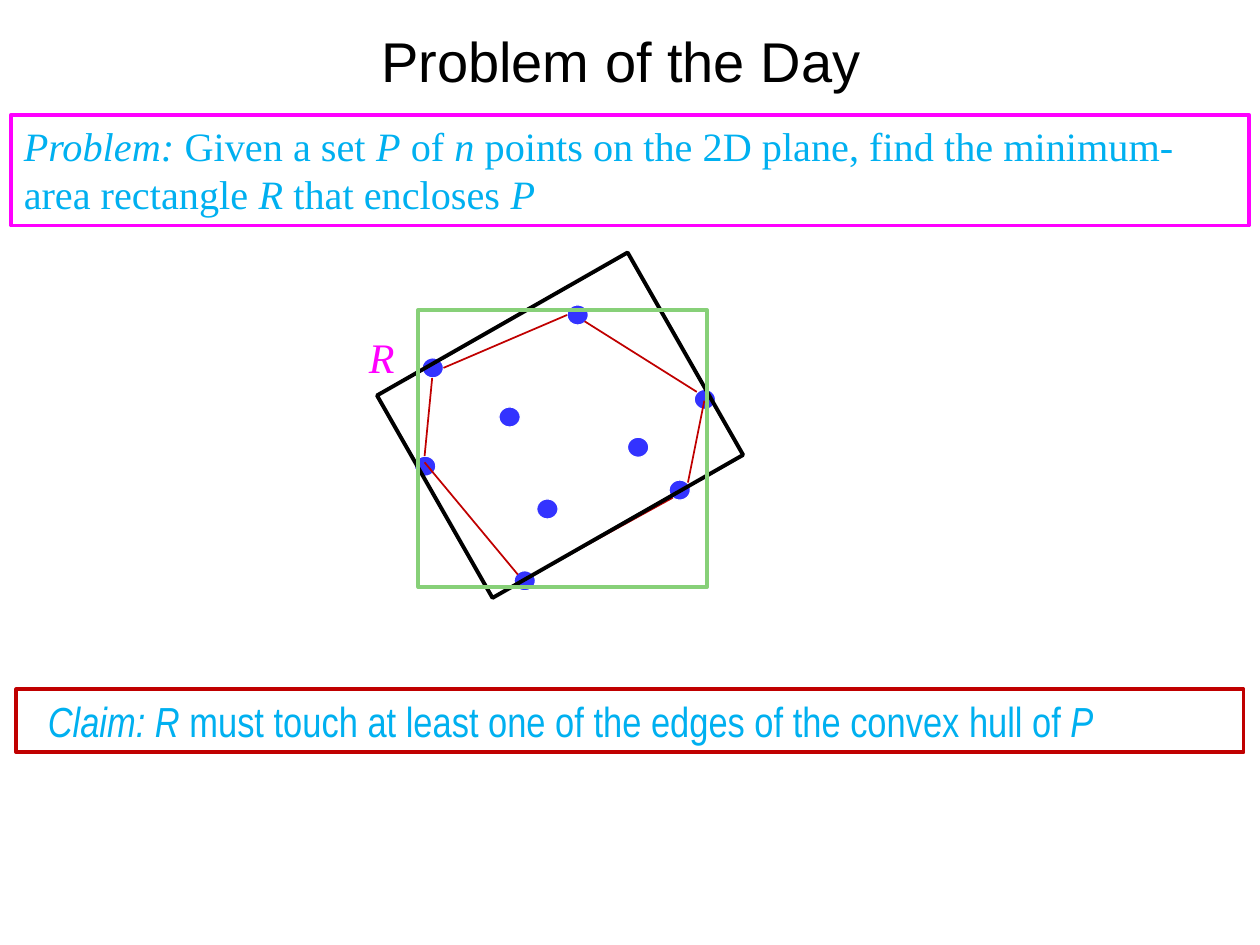
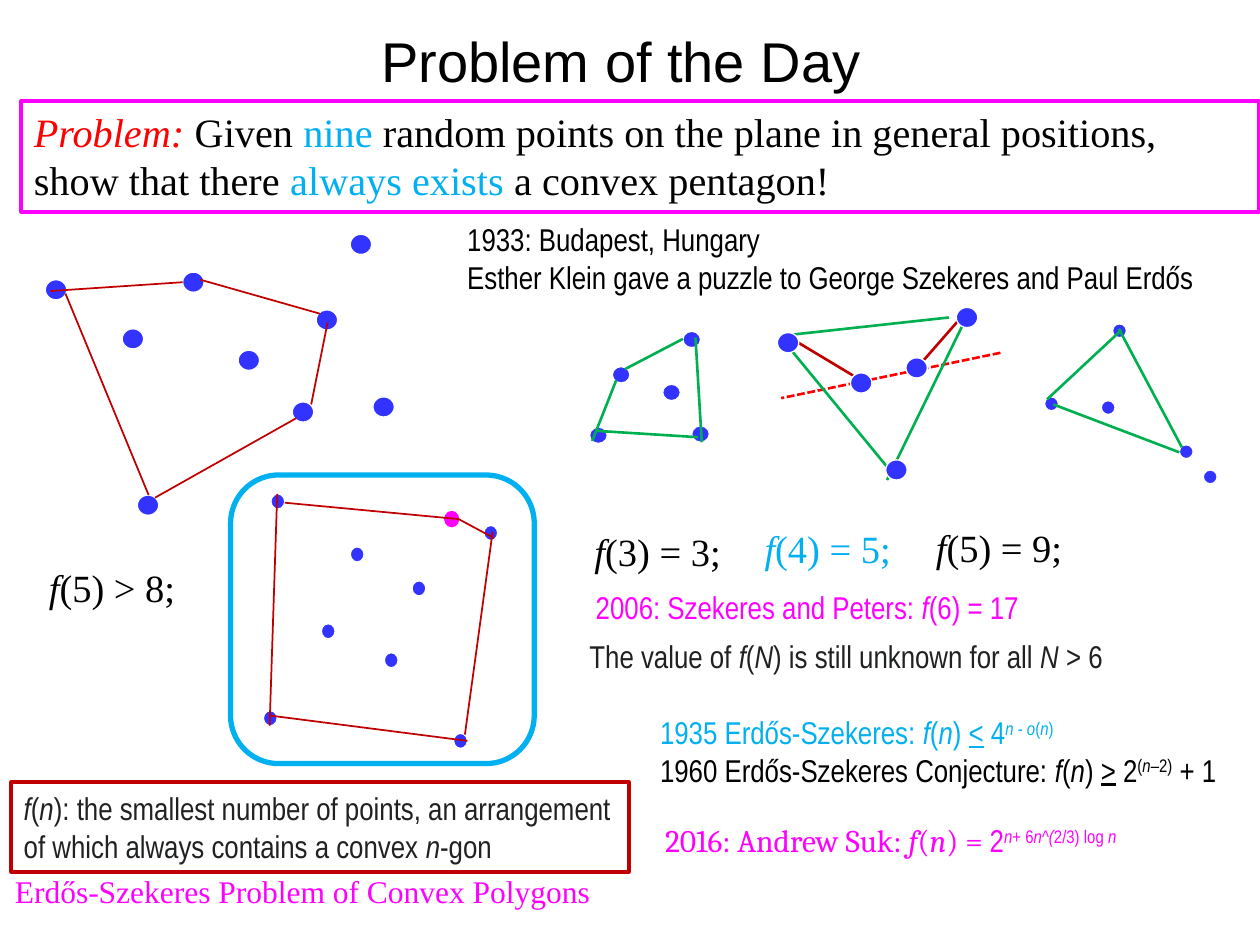
from pptx import Presentation
from pptx.dml.color import RGBColor as RGB
from pptx.enum.dml import MSO_LINE as Dash
from pptx.enum.shapes import MSO_CONNECTOR as Conn, MSO_SHAPE as Shape
from pptx.enum.text import MSO_ANCHOR as Anchor, PP_ALIGN as Align
from pptx.oxml.ns import qn
from pptx.util import Emu, Pt
from lxml import etree

PX = 9144
BLACK = RGB(0, 0, 0)
WHITE = RGB(255, 255, 255)
INK = RGB(0x20, 0x21, 0x22)
BLUE = RGB(0x33, 0x33, 0xFF)
SKY = RGB(0, 0xB0, 0xF0)
PINK = RGB(255, 0, 255)
RED = RGB(255, 0, 0)
BRICK = RGB(0xC0, 0, 0)
GREEN = RGB(0, 0xB0, 0x50)
LEAF = RGB(0x87, 0xD0, 0x78)
SANS, SLIM, SERIF, BOOK = "Arial", "Arial Narrow", "Times New Roman", "Cambria"
MARKS = "*_~"


def px(*nums):
    """Turn px lengths into EMU."""
    return [Emu(n * PX) for n in nums]


def split(text):
    """Yield pieces of text with their marks: * italic, _ underline, ~ raised."""
    on, piece = set(), ""
    for char in text:
        if char in MARKS:
            if piece:
                yield piece, set(on)
            on ^= {char}
            piece = ""
        else:
            piece += char
    if piece:
        yield piece, on


def write(frame, *paras, size=18, face=SLIM, color=BLACK, align=Align.LEFT,
          anchor=Anchor.TOP, left=10):
    """Fill a frame with paragraphs, each a string or a list of (text, color, face)."""
    frame.word_wrap = True
    frame.vertical_anchor = anchor
    frame.margin_left, frame.margin_right = px(left, 10)
    frame.margin_top, frame.margin_bottom = px(5, 5)
    for i, parts in enumerate(paras):
        para = frame.add_paragraph() if i else frame.paragraphs[0]
        para.alignment = align
        if isinstance(parts, str):
            parts = [(parts, color, face)]
        for text, tint, font in parts:
            for piece, on in split(text):
                run = para.add_run()
                run.text = piece
                run.font.size, run.font.name = Pt(size), font
                run.font.color.rgb = tint
                run.font.italic = "*" in on
                run.font.underline = "_" in on
                if "~" in on:
                    run._r.get_or_add_rPr().set("baseline", "30000")


def label(slide, box, *paras, **form):
    """Add a text box."""
    write(slide.shapes.add_textbox(*px(*box)).text_frame, *paras, **form)


def outline(slide, box, color, width=2.25, kind=Shape.RECTANGLE, fill=None):
    """Add an outlined shape, hollow unless a fill is given."""
    shape = slide.shapes.add_shape(kind, *px(*box))
    shape.shadow.inherit = False
    shape.line.color.rgb, shape.line.width = color, Pt(width)
    if fill is None:
        shape.fill.background()
    else:
        shape.fill.solid()
        shape.fill.fore_color.rgb = fill
    return shape


def panel(slide, box, edge, *paras, **form):
    """Add a framed statement."""
    write(outline(slide, box, edge).text_frame, *paras, **form)


def dots(slide, spot, size, places, fill=BLUE, edge=WHITE):
    """Add points at places relative to spot."""
    for x, y in places:
        outline(slide, (spot[0] + x, spot[1] + y, *size), edge, 0.75, Shape.OVAL, fill)


def edges(slide, spot, ends, color=BRICK, width=1, dash=None):
    """Add straight lines between ends relative to spot."""
    x, y = spot
    for a, b, c, d in ends:
        line = slide.shapes.add_connector(
            Conn.STRAIGHT, *px(x + a, y + b, x + c, y + d))
        line.line.color.rgb, line.line.width = color, Pt(width)
        if dash:
            line.line.dash_style = dash
        etree.SubElement(line._element.spPr, qn("a:effectLst"))


def start(deck):
    """Add a slide with the shared title."""
    slide = deck.slides.add_slide(deck.slide_layouts[5])
    title = slide.shapes.title
    title.left, title.top, title.width, title.height = px(40, -6, 906, 108)
    write(title.text_frame, "Problem of the Day", size=32, face=SANS,
          align=Align.CENTER, anchor=Anchor.MIDDLE)
    return slide


def cover(slide, spot):
    """Draw the point set with its hull and two enclosing rectangles."""
    x, y = spot
    dots(slide, spot, (17, 16), [
        (6, 42), (121, 0), (222, 67), (169, 105), (79, 211),
        (0, 120), (202, 139), (67, 81), (97, 154)])
    edges(slide, spot, [
        (23, 50, 121, 8), (135, 13, 224, 69), (94, 214, 205, 153),
        (230, 76, 217, 141), (14, 58, 8, 120), (82, 214, 8, 125)])
    outline(slide, (x + 1, y + 3, 229, 185), BLACK).rotation = 330.3
    outline(slide, (x + 3, y + 4, 229, 220), LEAF)
    label(slide, (x - 46, y + 16, 69, 50), "*R*", size=24, face=SERIF, color=PINK)


def cloud(slide, spot):
    """Draw nine points that hold a convex pentagon."""
    dots(slide, spot, (17, 16), [
        (0, 36), (109, 30), (215, 60), (260, 129), (73, 207),
        (153, 92), (196, 133), (61, 75), (242, 0)])
    edges(slide, spot, [
        (4, 45, 109, 38), (123, 36, 218, 63), (87, 209, 199, 146),
        (224, 70, 211, 135), (16, 47, 82, 207)])


def quad(slide, spot):
    """Draw four hull points around one inner point."""
    dots(slide, spot, (14, 13), [(18, 28), (0, 76), (58, 42), (81, 75), (74, 0)])
    edges(slide, spot, [
        (2, 87, 21, 39), (28, 30, 74, 6), (86, 84, 6, 79), (89, 88, 84, 5)],
        GREEN, 1.5)


def wedge(slide, spot):
    """Draw a triangle with two inner points and the line through them."""
    edges(slide, spot, [(177, 36, 3, 72)], RED, 1.5, Dash.SQUARE_DOT)
    edges(slide, spot, [(94, 135, 2, 23), (136, 8, 8, 22), (87, 137, 150, 8)],
          GREEN, 1.5)
    edges(slide, spot, [(60, 54, 10, 24), (116, 42, 144, 10)], BRICK, 1.5)
    dots(slide, spot, (17, 16), [(102, 40), (58, 52), (86, 121), (0, 20), (142, 0)])


def delta(slide, spot):
    """Draw a triangle with one point inside and one outside."""
    dots(slide, spot, (11, 11), [(126, 116), (0, 58), (45, 61), (107, 96), (54, 0)])
    edges(slide, spot, [(2, 60, 61, 5), (107, 102, 7, 64), (109, 98, 59, 4)],
          GREEN, 1.5)


def eight(slide, box):
    """Draw the framed eight points and the extra one."""
    spot, size = box[:2], (11, 12)
    dots(slide, spot, size, [(170, 29)], PINK, PINK)
    dots(slide, spot, size, [
        (32, 15), (201, 40), (177, 205), (144, 84),
        (26, 187), (122, 141), (95, 57), (72, 118)])
    outline(slide, box, SKY, 3, Shape.ROUNDED_RECTANGLE)
    edges(slide, spot, [
        (37, 15, 31, 199), (181, 35, 209, 50), (43, 22, 181, 35),
        (32, 191, 188, 211), (208, 45, 186, 206)])


def values(slide):
    """Write the known values of f."""
    for x, y, wide, text, color in [
            (29, 443, 143, "*f*(5) > 8;", BLACK), (462, 414, 167, "*f*(3) = 3;", BLACK),
            (597, 412, 167, "*f*(4) = 5;", SKY), (733, 411, 167, "*f*(5) = 9;", BLACK)]:
        label(slide, (x, y, wide, 47), text, size=22, face=SERIF, color=color)


def history(slide, spot):
    """Write the results by year below spot."""
    x, y = spot
    label(slide, (x + 5, y, 464, 40), "2006: Szekeres and Peters: *f*(6) = 17",
          color=PINK)
    label(slide, (x, y + 39, 440, 40),
          "The value of *f*(*N*) is still unknown for all *N* > 6", color=INK)
    label(slide, (x + 56, y + 99, 490, 71),
          [("1935 Erdős-Szekeres: *f*(*n*) _<_ 4~*n *- *o*(*n*)~", SKY, SLIM)],
          "1960 Erdős-Szekeres Conjecture: *f*(*n*) _>_ 2~(*n*–2)~ + 1")
    label(slide, (x + 60, y + 185, 464, 40), [
        ("2016: Andrew Suk: *f*(*n*) = ", PINK, BOOK),
        ("2~*n*+ 6*n^(*2/3) log *n*~", PINK, SLIM)])


def area(deck):
    """Build the smallest rectangle slide."""
    slide = start(deck)
    panel(slide, (9, 91, 982, 88), PINK,
          "*Problem:* Given a set *P* of *n* points on the 2D plane, find the "
          "minimum-area rectangle *R* that encloses *P*",
          size=23, face=SERIF, color=SKY)
    cover(slide, (329, 242))
    panel(slide, (13, 547, 974, 50), BRICK,
          "*Claim: R* must touch at least one of the edges of the convex hull of *P*",
          size=24, color=SKY, anchor=Anchor.MIDDLE, left=25)


def convex(deck):
    """Build the convex pentagon slide."""
    slide = start(deck)
    panel(slide, (17, 80, 982, 88), PINK, [
        ("*Problem: *", RED, SERIF), ("Given ", BLACK, SERIF), ("nine ", SKY, SERIF),
        ("random points on the plane in general positions, show that there ",
         BLACK, SERIF),
        ("always exists ", SKY, SERIF), ("a convex pentagon!", BLACK, SERIF)], size=23)
    label(slide, (361, 170, 636, 71), "1933: Budapest, Hungary",
          "Esther Klein gave a puzzle to George Szekeres and Paul Erdős")
    cloud(slide, (36, 186))
    values(slide)
    history(slide, (458, 462))
    quad(slide, (468, 263))
    wedge(slide, (617, 244))
    delta(slide, (829, 257))
    panel(slide, (9, 621, 490, 71), BRICK,
          "*f*(*n*): the smallest number of points, an arrangement of which "
          "always contains a convex *n*-gon", color=INK, anchor=Anchor.MIDDLE)
    label(slide, (2, 687, 490, 40), "Erdős-Szekeres Problem of Convex Polygons",
          face=SERIF, color=PINK)
    eight(slide, (183, 377, 241, 229))


def main():
    """Build and save the deck."""
    deck = Presentation()
    deck.slide_width, deck.slide_height = px(1000, 750)
    area(deck)
    convex(deck)
    deck.save("out.pptx")


if __name__ == "__main__":
    main()
